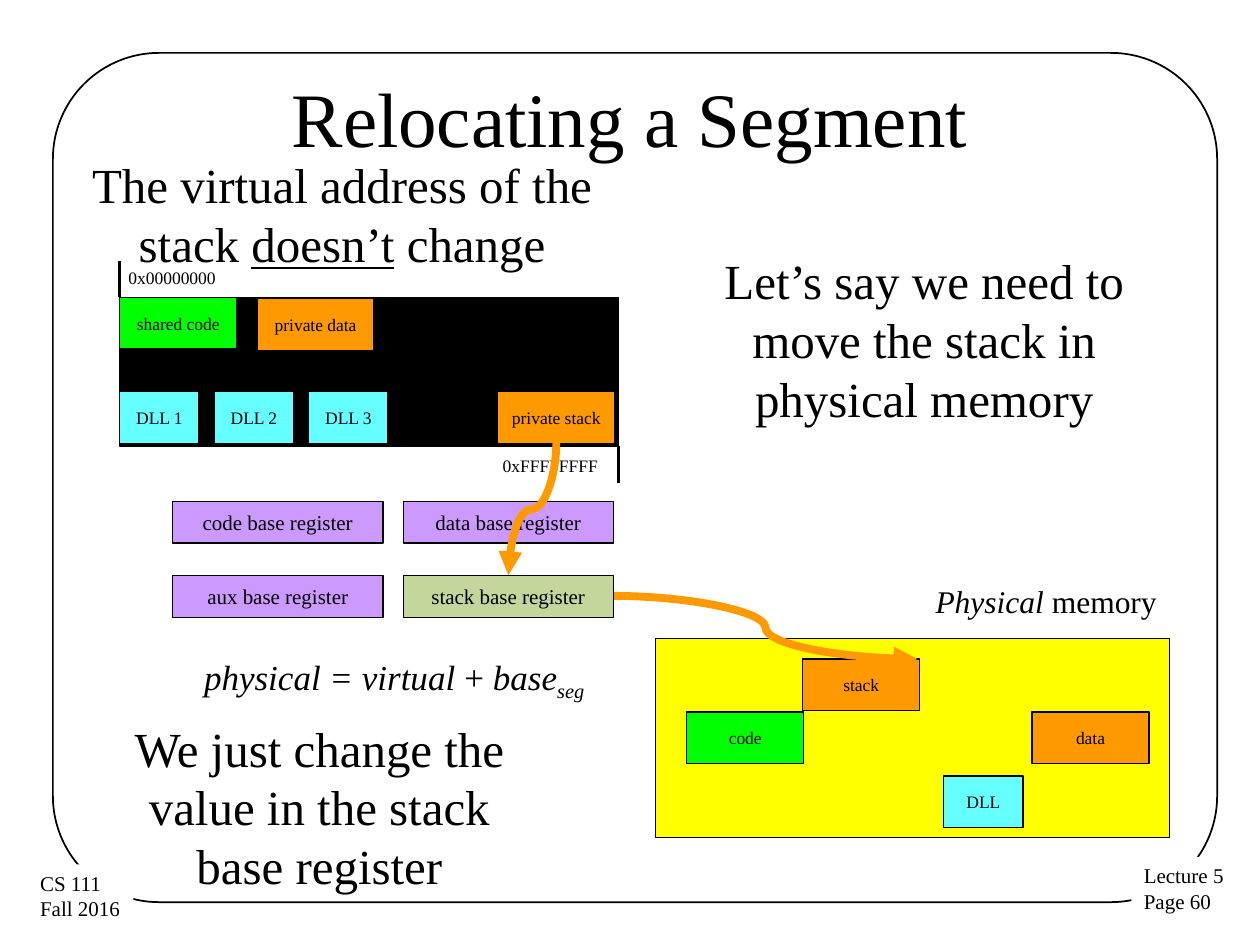
from pptx import Presentation
from pptx.dml.color import RGBColor
from pptx.enum.shapes import MSO_CONNECTOR as Link, MSO_SHAPE as Preset
from pptx.enum.text import MSO_ANCHOR as Anchor, MSO_AUTO_SIZE as Fit, PP_ALIGN as Align
from pptx.oxml.ns import qn
from pptx.util import Inches, Pt
from lxml import etree

FONT = "Times New Roman"
BLACK, WHITE, GREEN, ORANGE = "000000", "FFFFFF", "00FF00", "FF9900"
CYAN, PURPLE, OLIVE, YELLOW = "66FFFF", "CC99FF", "C3D69B", "FFFF00"
BLOCK = (0.93, 0.41)
LIBRARY = (0.63, 0.41)
REGISTER = (1.67, 0.33)
TIGHT = (0.09, 0.04)


def color(hex_code):
    return RGBColor.from_string(hex_code)


def set_values(target, values):
    for name, value in values.items():
        setattr(target, name, value)


def write(shape, paras, size, align=Align.CENTER, anchor=Anchor.TOP,
          wrap=False, inset=(0.1, 0.05), grow=False):
    """Each paragraph is a list of (text, font values, baseline percent)."""
    frame = shape.text_frame
    across, down = map(Inches, inset)
    set_values(frame, {
        "word_wrap": wrap, "vertical_anchor": anchor,
        "auto_size": Fit.SHAPE_TO_FIT_TEXT if grow else Fit.NONE,
        "margin_left": across, "margin_right": across,
        "margin_top": down, "margin_bottom": down})
    for index, spans in enumerate(paras):
        para = frame.add_paragraph() if index else frame.paragraphs[0]
        para.alignment = align
        for text, values, baseline in spans:
            span = para.add_run()
            span.text = text
            set_values(span.font, {"name": FONT, "size": Pt(size), **values})
            span.font.color.rgb = color(BLACK)
            if baseline:
                span.font._element.set("baseline", str(baseline * 1000))


def plain(*lines):
    return [[(line, {}, 0)] for line in lines]


def add_text(page, box, paras, size, **layout):
    text_box = page.shapes.add_textbox(*map(Inches, box))
    write(text_box, paras, size, **layout)


def add_box(page, box, fill=None, line=BLACK, width=0.75, preset=Preset.RECTANGLE):
    shape = page.shapes.add_shape(preset, *map(Inches, box))
    shape.shadow.inherit = False
    if fill:
        shape.fill.solid()
        shape.fill.fore_color.rgb = color(fill)
    else:
        shape.fill.background()
    if line:
        shape.line.color.rgb = color(line)
        shape.line.width = Pt(width)
    else:
        shape.line.fill.background()
    return shape


def add_label_box(page, box, label, fill, size=10, inset=TIGHT):
    shape = add_box(page, box, fill)
    write(shape, plain(label), size, anchor=Anchor.MIDDLE, inset=inset)


def add_line(page, start, end, hex_code=BLACK, width=0, kind=Link.STRAIGHT,
             turn=0, arrow=False):
    line = page.shapes.add_connector(kind, *map(Inches, (*start, *end)))
    line.line.color.rgb = color(hex_code)
    line.line.width = Pt(width)
    properties = line._element.spPr
    if arrow:
        etree.SubElement(properties.find(qn("a:ln")), qn("a:tailEnd"), type="triangle")
    if turn:
        properties.find(qn("a:xfrm")).set("rot", str(turn * 60000))
    etree.SubElement(properties, qn("a:effectLst"))


def add_frame(page, box):
    """Rounded border, corner notes and title."""
    left, top, width, height = box
    add_box(page, box, width=1, preset=Preset.ROUNDED_RECTANGLE).adjustments[0] = 0.125
    notes = [(8.56, 6.38, ("Lecture 5", "Page 60")),
             (-0.2, 6.44, ("CS 111", "Fall 2016 "))]
    for x, y, lines in notes:
        note = add_box(page, (left + x, top + y, 0.84, 0.51), WHITE, line=None)
        write(note, plain(*lines), 12, align=Align.LEFT, grow=True)
    add_text(page, (left + 0.08, top - 0.12, 9, 1.25), plain("Relocating a Segment"),
             44, anchor=Anchor.MIDDLE, wrap=True)


def add_virtual_memory(page, box):
    left, top, width, height = box
    right, bottom = left + width, top + height
    add_box(page, box, BLACK)
    # Address marks
    add_line(page, (left, top - 0.29), (left, top))
    add_line(page, (right, bottom), (right, bottom + 0.29))
    marks = [((left + 0.07, top - 0.24, 0.7, 0.17), "0x00000000"),
             ((right - 0.92, bottom + 0.07, 0.77, 0.17), "0xFFFFFFFF")]
    for place, address in marks:
        add_text(page, place, plain(address), 10, align=Align.LEFT, inset=(0, 0), grow=True)
    # Segments
    lower = top + 0.75
    add_label_box(page, (left, top, *BLOCK), "shared code", GREEN)
    add_label_box(page, (left + 1.09, top + 0.01, *BLOCK), "private data", ORANGE)
    add_label_box(page, (left + 3, lower, *BLOCK), "private stack", ORANGE)
    for index in range(3):
        add_label_box(page, (left + 0.75 * index, lower, *LIBRARY), f"DLL {index + 1}", CYAN)


def add_physical_memory(page, box):
    left, top, width, height = box
    add_box(page, box, YELLOW)
    add_text(page, (left + width - 2, top - 0.5, 2, 0.4),
             [[("Physical", {"italic": True}, 0), (" memory ", {}, 0)]],
             18, align=Align.RIGHT, grow=True)
    segments = [(0.25, 0.58, BLOCK, "code", GREEN), (2.99, 0.58, BLOCK, "data", ORANGE),
                (1.17, 0.16, BLOCK, "stack", ORANGE), (2.29, 1.09, LIBRARY, "DLL", CYAN)]
    for x, y, size, label, fill in segments:
        add_label_box(page, (left + x, top + y, *size), label, fill)


def add_registers(page, box):
    """Two by two grid; the arrows pass below the stack register."""
    left, top, width, height = box
    column, row = width - REGISTER[0], height - REGISTER[1]

    def add_register(x, y, name, fill=PURPLE):
        add_label_box(page, (left + x, top + y, *REGISTER), f"{name} base register",
                      fill, size=12, inset=(0.1, 0.05))

    add_register(0, 0, "code")
    add_register(column, 0, "data")
    add_register(0, row, "aux")
    curve = {"hex_code": ORANGE, "width": 4.5, "kind": Link.CURVE, "arrow": True}
    add_line(page, (left + 3.5, top + 0.75), (left + 5.91, top + 1.25), **curve)
    add_line(page, (left + 2.33, top - 0.13), (left + 3.38, top + 0.25), turn=90, **curve)
    add_register(column, row, "stack", OLIVE)


def add_notes(page, box):
    """Formula and the three remarks."""
    left, top = box[:2]
    italic = {"italic": True}
    formula = [("physical = virtual", italic, 0), (" + ", {}, 0), ("base", italic, 0),
               ("seg", italic, -25), (" ", {"size": Pt(18)}, 0)]
    add_text(page, (left + 0.99, top + 3.97, 3.34, 0.44), [formula], 20, grow=True)
    remarks = [
        ((4.9, 0.76, 3.87, 1.51),
         plain("Let’s say we need to move the stack in physical memory")),
        ((0, 0, 4.43, 1.04),
         [[("The virtual address of the stack ", {}, 0),
           ("doesn’t", {"underline": True}, 0), (" change", {}, 0)]]),
        ((0.25, 4.47, 3.57, 1.52),
         plain("We just change the value in the stack base register"))]
    for (x, y, width, height), paras in remarks:
        add_text(page, (left + x, top + y, width, height), paras, 28, wrap=True, grow=True)


deck = Presentation()
set_values(deck, {"slide_width": Inches(10), "slide_height": Inches(7.5)})
page = deck.slides.add_slide(deck.slide_layouts[6])
add_frame(page, (0.42, 0.42, 9.24, 6.74))
add_virtual_memory(page, (0.95, 2.36, 3.96, 1.18))
add_physical_memory(page, (5.2, 5.07, 4.08, 1.58))
add_registers(page, (1.37, 3.98, 3.5, 0.92))
add_notes(page, (0.5, 1.18, 8.77, 5.99))
deck.save("out.pptx")
